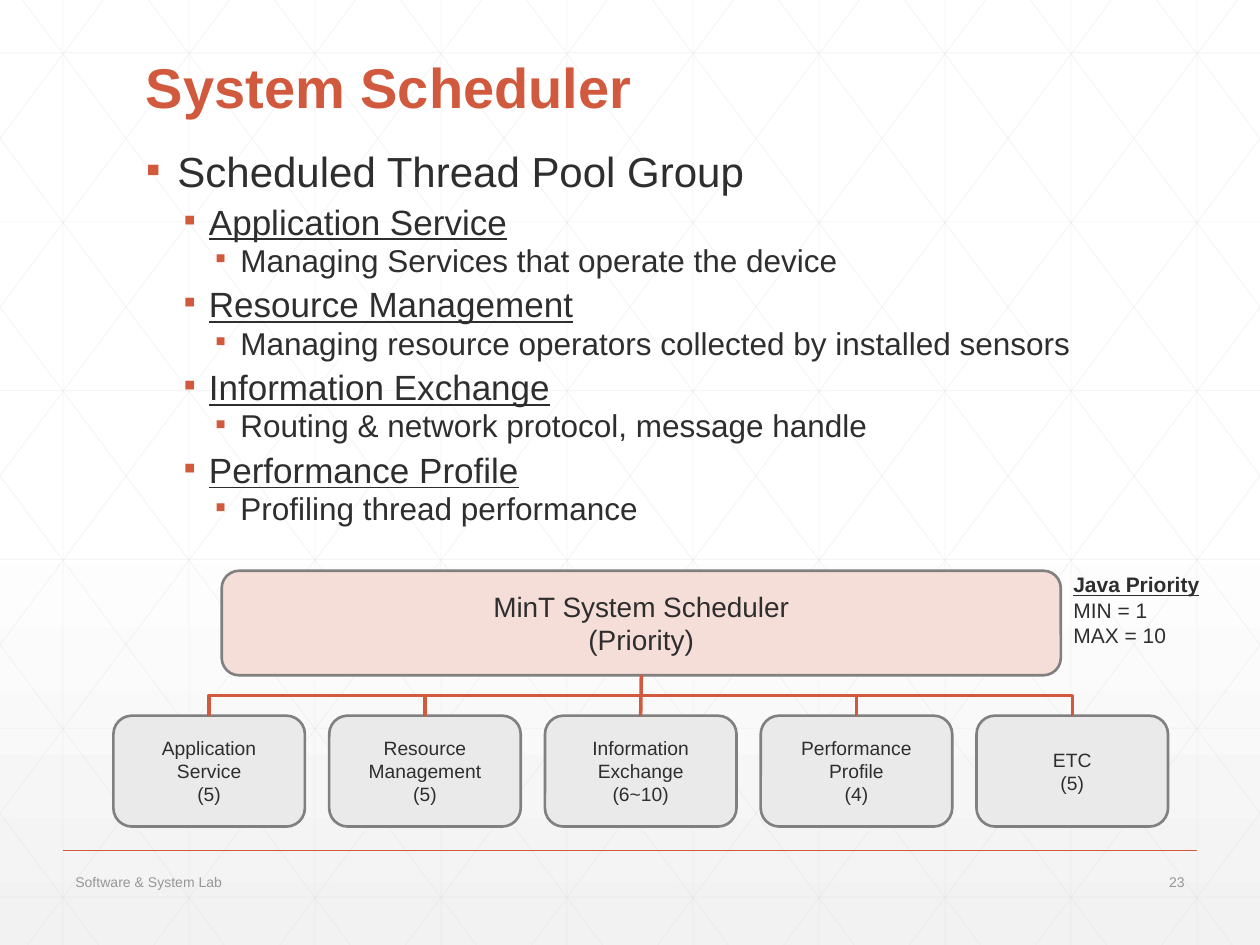
from copy import deepcopy
from lxml import etree
from pptx import Presentation
from pptx.dml.color import RGBColor
from pptx.enum.shapes import MSO_CONNECTOR, MSO_SHAPE
from pptx.enum.text import MSO_ANCHOR, PP_ALIGN
from pptx.oxml.ns import qn
from pptx.util import Inches, Pt

STRAIGHT, ELBOW = MSO_CONNECTOR.STRAIGHT, MSO_CONNECTOR.ELBOW
ROUND = MSO_SHAPE.ROUNDED_RECTANGLE
TOP, MIDDLE, BOTTOM = MSO_ANCHOR.TOP, MSO_ANCHOR.MIDDLE, MSO_ANCHOR.BOTTOM
LEFT, CENTER, RIGHT = PP_ALIGN.LEFT, PP_ALIGN.CENTER, PP_ALIGN.RIGHT
WIDE, HIGH = 10, 7.5
COLORS = {
    "accent": "D15A3E", "ink": "2D2E2D", "muted": "959795", "grid": "D9D9D9",
    "edge": "808080", "rose": "F6DED8", "pale": "EAEAEA",
    "white": "FFFFFF", "mist": "F2F2F2",
}
LEVELS = [(24, 0.25, 0.25, 18), (20, 0.5, 0.2, 12), (18, 0.75, 0.2, 8)]
POINTS = [
    (0, "Scheduled Thread Pool Group"),
    (1, "Application Service"),
    (2, "Managing Services that operate the device"),
    (1, "Resource Management"),
    (2, "Managing resource operators collected by installed sensors"),
    (1, "Information Exchange"),
    (2, "Routing & network protocol, message handle"),
    (1, "Performance Profile"),
    (2, "Profiling thread performance"),
]
GROUPS = [
    "Application Service\n(5)",
    "Resource Management\n(5)",
    "Information\nExchange\n(6~10)",
    "Performance\nProfile\n(4)",
    "ETC\n(5)",
]


def tint(name):
    return RGBColor.from_string(COLORS[name])


class Page:
    def __init__(self, slide, face="Arial"):
        self.slide = slide
        self.shapes = slide.shapes
        self.face = face

    def shade(self):
        fill = self.slide.background.fill
        fill.gradient()
        fill.gradient_angle = 270
        stops = self.slide._element.find(".//" + qn("a:gsLst"))
        stops.insert(1, deepcopy(stops[0]))
        marks = [(0, "white"), (0.53, "white"), (1, "mist")]
        for stop, (place, color) in zip(fill.gradient_stops, marks):
            stop.position = place
            stop.color.rgb = tint(color)

    def style(self, font, size, color, bold=False, under=False):
        font.name = self.face
        font.size = Pt(size)
        font.bold = bold
        font.underline = under
        font.color.rgb = tint(color)

    def label(self, frame, text, size, color, align=LEFT, anchor=TOP, bold=False):
        frame.word_wrap = True
        frame.vertical_anchor = anchor
        frame.text = text
        for para in frame.paragraphs:
            para.alignment = align
            for run in para.runs:
                self.style(run.font, size, color, bold)

    def text(self, area, text, size, color, **look):
        frame = self.shapes.add_textbox(*map(Inches, area)).text_frame
        self.label(frame, text, size, color, **look)
        return frame

    def box(self, area, text, size, color):
        shape = self.shapes.add_shape(ROUND, *map(Inches, area))
        shape.shadow.inherit = False
        shape.fill.solid()
        shape.fill.fore_color.rgb = tint(color)
        shape.line.color.rgb = tint("edge")
        shape.line.width = Pt(1.5)
        self.label(shape.text_frame, text, size, "ink", CENTER, MIDDLE)
        return shape

    def line(self, start, end, color, width, kind=STRAIGHT, alpha=None):
        link = self.shapes.add_connector(kind, *map(Inches, start + end))
        link.line.color.rgb = tint(color)
        link.line.width = Pt(width)
        props = link._element.spPr
        etree.SubElement(props, qn("a:effectLst"))
        if alpha:
            shade = props.find(".//" + qn("a:srgbClr"))
            etree.SubElement(shade, qn("a:alpha")).set("val", str(alpha * 1000))
        return link

    def branch(self, root, leaf):
        start = root.left + root.width // 2
        end = leaf.left + leaf.width // 2
        top = root.top + root.height
        drop, span = leaf.top - top, abs(end - start)
        flat = span < Inches(0.02)
        link = self.line((0, 0), (1, 1), "accent", 2, STRAIGHT if flat else ELBOW)
        link.begin_connect(root, 2)
        link.end_connect(leaf, 0)
        if flat:
            return
        link.left = (start + end - drop) // 2
        link.top = top + (drop - span) // 2
        link.width, link.height = drop, span
        frame = link._element.spPr.find(qn("a:xfrm"))
        for flip in ("flipH", "flipV"):
            frame.attrib.pop(flip, None)
        frame.set("rot", "5400000" if end < start else "16200000")
        if end > start:
            frame.set("flipH", "1")

    def list(self, area, points):
        frame = self.text(area, "\n".join(text for _, text in points), 18, "ink")
        for order, (para, (level, _)) in enumerate(zip(frame.paragraphs, points)):
            size, margin, hang, gap = LEVELS[level]
            para.level = level
            para.line_spacing = 0.6
            if order:
                para.space_before = Pt(gap)
            props = para._p.get_or_add_pPr()
            props.set("marL", str(Inches(margin)))
            props.set("indent", str(-Inches(hang)))
            color = etree.SubElement(props, qn("a:buClr"))
            etree.SubElement(color, qn("a:srgbClr")).set("val", COLORS["accent"])
            etree.SubElement(props, qn("a:buFont")).set("typeface", self.face)
            etree.SubElement(props, qn("a:buChar")).set("char", "▪")
            self.style(para.runs[0].font, size, "ink", under=level == 1)

    def grid(self):
        lines = [((0.5 + i, 0), (0.5 + i, HIGH)) for i in range(10)]
        lines += [((0, 0.42 + 1.34 * i), (WIDE, 0.42 + 1.34 * i)) for i in range(6)]
        slope = HIGH / 5.6
        for i in range(-5, 10):
            base = 0.18 + i
            left, right = max(base, 0), min(base + 5.6, WIDE)
            top, low = (left - base) * slope, (right - base) * slope
            lines.append(((left, top), (right, low)))
            lines.append(((WIDE - left, top), (WIDE - right, low)))
        for start, end in lines:
            self.line(start, end, "grid", 0.5, alpha=25)


def main():
    deck = Presentation()
    deck.slide_width, deck.slide_height = Inches(WIDE), Inches(HIGH)
    page = Page(deck.slides.add_slide(deck.slide_layouts[6]))
    page.shade()
    page.grid()
    page.line((0.5, 6.75), (9.5, 6.75), "accent", 1)

    title = page.text((1.06, 0, 7.88, 1.01), "System Scheduler", 32, "accent",
                      anchor=BOTTOM, bold=True)
    title.paragraphs[0].line_spacing = 0.9
    page.list((1.06, 1.25, 7.88, 5.3), POINTS)
    page.text((0.5, 6.88, 5.03, 0.24), "Software & System Lab", 8, "muted",
              anchor=MIDDLE)
    page.text((8.75, 6.88, 0.75, 0.24), "23", 8, "muted", align=RIGHT, anchor=MIDDLE)

    root = page.box((1.76, 4.53, 6.66, 0.83),
                    "MinT System Scheduler\n(Priority)", 16, "rose")
    for i, name in enumerate(GROUPS):
        leaf = page.box((0.9 + 6.85 / 4 * i, 5.68, 1.52, 0.88), name, 11, "pale")
        page.branch(root, leaf)

    note = page.text((8.42, 4.49, 1.21, 0.71),
                     "Java Priority\nMIN = 1\nMAX = 10", 12, "ink")
    note.word_wrap = False
    page.style(note.paragraphs[0].runs[0].font, 12, "ink", bold=True, under=True)
    deck.save("out.pptx")


if __name__ == "__main__":
    main()
